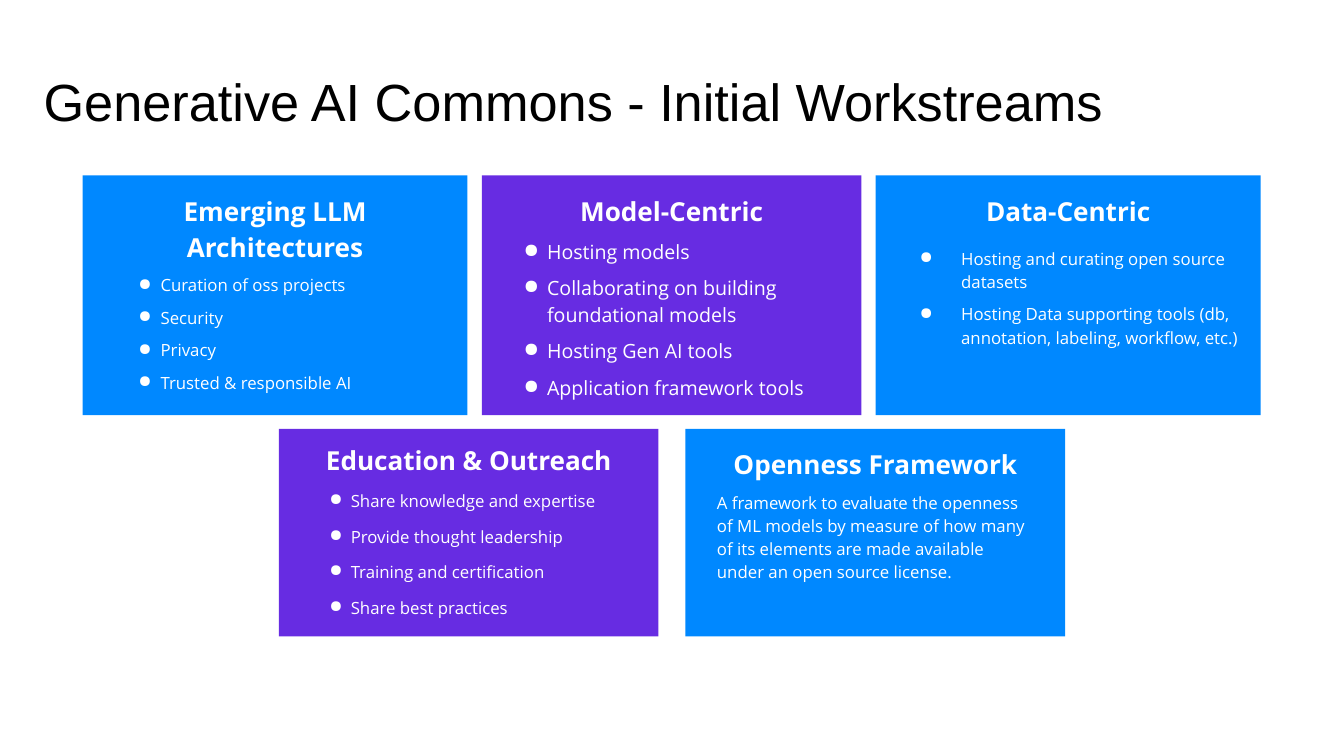
from lxml import etree
from pptx import Presentation
from pptx import util as u
from pptx.dml.color import RGBColor
from pptx.enum import shapes, text
from pptx.oxml.ns import qn

BLUE, VIOLET, WHITE = "0088FF", "672CE2", "FFFFFF"


def style(par, size, color, face, bold=False):
    par.font.size = u.Pt(size)
    par.font.name = face
    par.font.bold = bold
    par.font.color.rgb = RGBColor.from_string(color)


def bullet(par, left, hang):
    props = par._p.get_or_add_pPr()
    props.set("marL", str(u.Cm(left)))
    props.set("indent", str(-u.Cm(hang)))
    tint = etree.SubElement(props, qn("a:buClr"))
    etree.SubElement(tint, qn("a:srgbClr"), val=WHITE)
    etree.SubElement(props, qn("a:buChar"), char="●")


deck = Presentation()
deck.slide_width, deck.slide_height = u.Cm(50.8), u.Cm(28.58)
slide = deck.slides.add_slide(deck.slide_layouts[6])

# Title
box = slide.shapes.add_textbox(u.Cm(1.65), u.Cm(2.46), u.Cm(46.61), u.Cm(2.72))
frame = box.text_frame
frame.word_wrap = True
frame.vertical_anchor = text.MSO_ANCHOR.MIDDLE
frame.margin_left = frame.margin_right = frame.margin_top = frame.margin_bottom = 0
frame.text = "Generative AI Commons - Initial Workstreams"
style(frame.paragraphs[0], 56, "000000", "Arial")

# Rows: top, height
upper, lower = (6.63, 9.07), (16.21, 7.85)

# Cards: left, width, row, fill, side inset, head spacing,
# (item size, item spacing, first gap, bullet indent and hang), head, items
cards = [
    (3.12, 14.55, upper, BLUE, 0.69, 1.15, (18, 1.15, 10, (2.26, 0.84)),
     "Emerging LLM Architectures",
     ["Curation of oss projects", "Security", "Privacy",
      "Trusted & responsible AI"]),
    (18.21, 14.35, upper, VIOLET, 0.69, 1.15, (21, 1.15, 10, (1.78, 0.89)),
     "Model-Centric",
     ["Hosting models", "Collaborating on building foundational models",
      "Hosting Gen AI tools", "Application framework tools"]),
    (33.1, 14.55, upper, BLUE, 0.69, 1.15, (18, 1.15, 20, (2.54, 1.57)),
     "Data-Centric",
     ["Hosting and curating open source datasets",
      "Hosting Data supporting tools (db, annotation, labeling, workflow, etc.)"]),
    (10.54, 14.35, lower, VIOLET, 0.69, None, (18, 1.3, 10, (2.03, 0.81)),
     "Education & Outreach",
     ["Share knowledge and expertise", "Provide thought leadership",
      "Training and certification", "Share best practices"]),
    (25.91, 14.35, lower, BLUE, 1.19, 1.15, (18, 1.15, 10, None),
     "Openness Framework",
     ["A framework to evaluate the openness of ML models by measure of how many "
      "of its elements are made available under an open source license."]),
]

for left, width, (top, height), fill, side, lead, form, head, items in cards:
    size, space, gap, dent = form
    card = slide.shapes.add_shape(shapes.MSO_SHAPE.RECTANGLE, u.Cm(left),
                                  u.Cm(top), u.Cm(width), u.Cm(height))
    card.shadow.inherit = False
    card.fill.solid()
    card.fill.fore_color.rgb = RGBColor.from_string(fill)
    card.line.fill.background()

    frame = card.text_frame
    frame.word_wrap = True
    frame.vertical_anchor = text.MSO_ANCHOR.TOP
    frame.margin_left = frame.margin_right = u.Cm(side)
    frame.margin_top, frame.margin_bottom = u.Cm(0.58), u.Cm(0.69)

    # Heading
    par = frame.paragraphs[0]
    par.text = head
    par.alignment = text.PP_ALIGN.CENTER
    par.line_spacing = lead
    style(par, 28, WHITE, "Open Sans", True)

    # Items
    for i, item in enumerate(items):
        par = frame.add_paragraph()
        par.text = item
        par.alignment = text.PP_ALIGN.LEFT
        if dent:
            bullet(par, *dent)
        par.line_spacing = space
        par.space_before = u.Pt(10 if i else gap)
        style(par, size, WHITE, "Open Sans")

deck.save("out.pptx")
